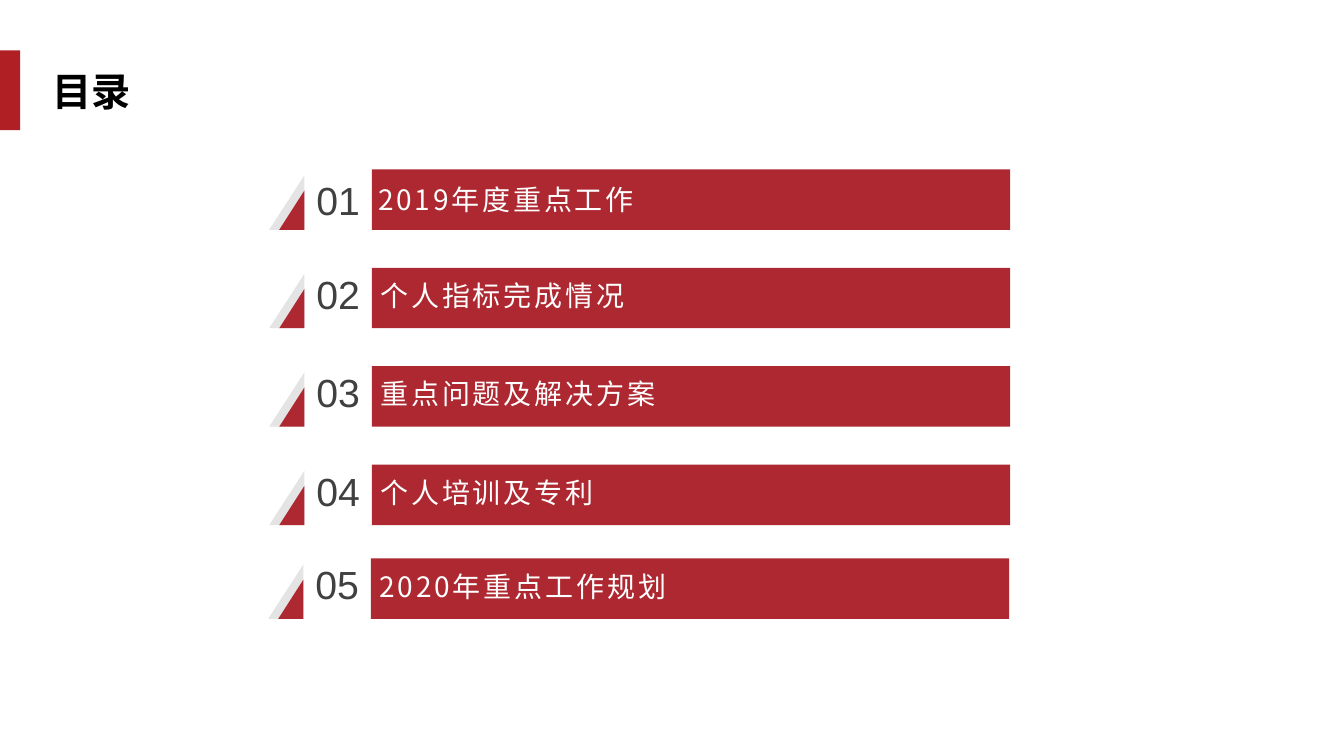
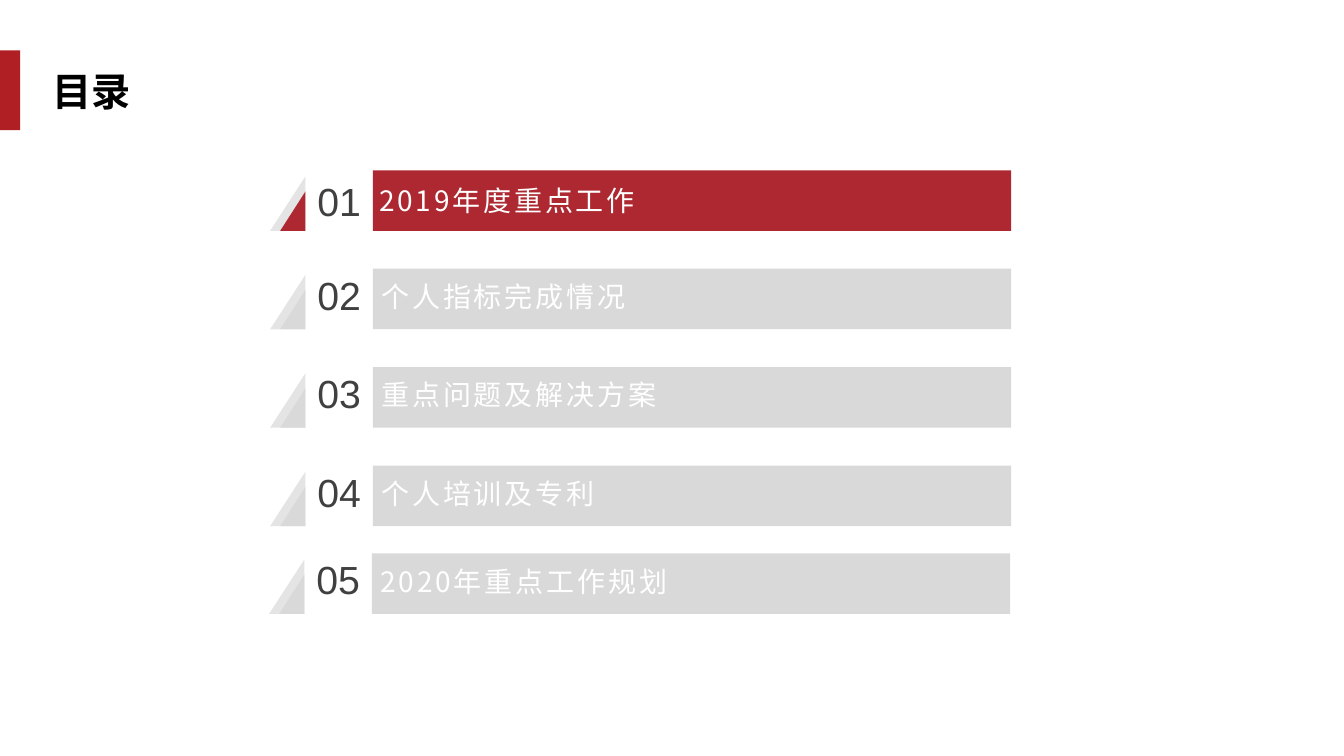
from pptx import Presentation, util as u
from pptx.dml.color import RGBColor
from pptx.enum import shapes, text

# Grid: one column and one row are each a tenth of an inch
CELL = u.Inches(0.1)
COLUMNS, ROWS = 133.33, 75

CJK, LATIN = "Noto Sans CJK SC", "Arial"
BAND, RED, GREY, PALE = "B01F24", "AD2830", "D9D9D9", "E4E4E4"
WHITE, BLACK, DARK = "FFFFFF", "000000", "404040"

ENTRIES = ["2019年度重点工作", "个人指标完成情况", "重点问题及解决方案",
           "个人培训及专利", "2020年重点工作规划"]
ROW_HEIGHT = 6
ROW_PITCH = 29.3 / 3


def grid(*cells):
    return [u.Emu(round(cell * CELL)) for cell in cells]


def color(hex_string):
    return RGBColor.from_string(hex_string)


class Deck:
    def __init__(self):
        self.prs = Presentation()
        self.prs.slide_width, self.prs.slide_height = grid(COLUMNS, ROWS)
        self.layout = self.prs.slide_layouts[5]
        self.slide = None
        self.has_band = False

    def new_slide(self, title):
        self.slide = self.prs.slides.add_slide(self.layout)
        if not self.has_band:
            self.band()
        self.title(title)

    def band(self):
        """Draw the red edge band and move it to the layout all slides share."""
        band = self.slide.shapes.add_shape(shapes.MSO_SHAPE.RECTANGLE, *grid(0, 5, 2, 7.9))
        self.paint(band, BAND)
        band.element.nvSpPr.cNvPr.id = 100
        self.layout.shapes.element.insert(2, band.element)
        self.has_band = True

    def title(self, words):
        title = self.slide.shapes.title
        title.left, title.top, title.width, title.height = grid(4.2, 6.2, 9.9, 5.7)
        frame = title.text_frame
        frame.word_wrap = False
        frame.auto_size = text.MSO_AUTO_SIZE.SHAPE_TO_FIT_TEXT
        frame.vertical_anchor = text.MSO_ANCHOR.TOP
        self.add_words(frame, words, 28, CJK, BLACK, bold=True)

    def paint(self, shape, fill):
        shape.shadow.inherit = False
        shape.fill.solid()
        shape.fill.fore_color.rgb = color(fill)
        shape.line.fill.background()

    def outline(self, contours, fill):
        """One filled outline made of one or more closed contours."""
        contours = [[grid(*point) for point in contour] for contour in contours]
        builder = self.slide.shapes.build_freeform(*contours[0][0])
        for number, (start, *others) in enumerate(contours):
            if number:
                builder.move_to(*start)
            builder.add_line_segments(others, close=True)
        shape = builder.convert_to_shape()
        self.paint(shape, fill)
        return shape

    def add_words(self, frame, words, size, font, ink, bold=False,
                  align=text.PP_ALIGN.LEFT, tracking=None):
        paragraph = frame.paragraphs[0]
        paragraph.alignment = align
        run = paragraph.add_run()
        run.text = words
        run.font.size, run.font.name, run.font.bold = u.Pt(size), font, bold
        run.font.color.rgb = color(ink)
        # East Asian typeface and letter spacing
        props = run._r.get_or_add_rPr()
        if font == CJK:
            east_asian = props.makeelement(
                "{http://schemas.openxmlformats.org/drawingml/2006/main}ea", {"typeface": font})
            props.append(east_asian)
        if tracking:
            props.set("spc", str(tracking * 100))
        return paragraph

    def inset(self, frame, left=0):
        frame.margin_left, = grid(left)
        frame.margin_right = frame.margin_top = frame.margin_bottom = 0
        frame.vertical_anchor = text.MSO_ANCHOR.MIDDLE

    def text_box(self, left, top, width, height):
        frame = self.slide.shapes.add_textbox(*grid(left, top, width, height)).text_frame
        frame.word_wrap = True
        return frame

    def entry(self, number, words, left, top, fill):
        """One row: pale wedge, coloured wedge with bar, number and heading."""
        bottom, wedge_right = top + ROW_HEIGHT, left + 3.5
        bar_left, bar_right = left + 10.2, left + 73.5
        self.outline([[(wedge_right, top + 0.6), (wedge_right, bottom), (left, bottom)]], PALE)
        bar = self.outline([
            [(wedge_right, top + 2.1), (wedge_right, bottom), (left + 1, bottom)],
            [(bar_left, top), (bar_right, top), (bar_right, bottom), (bar_left, bottom)],
        ], fill)

        # The first row is centred; later numbers sit slightly higher
        lift = 0 if number == 1 else 0.45
        label = self.text_box(wedge_right, top - lift, 6.7, ROW_HEIGHT)
        self.inset(label)
        self.add_words(label, f"{number:02}", 28, LATIN, DARK, align=text.PP_ALIGN.CENTER)

        # The first heading is held by its bar, the others by a box over it
        if number == 1:
            heading = bar.text_frame
            self.inset(heading, 9.8)
        else:
            heading = self.text_box(left + 10.05, top + 0.95, 63.3, 3.9)
        paragraph = self.add_words(heading, words, 20, CJK, WHITE, tracking=2)
        if number > 1:
            paragraph.line_spacing = 0.9
            paragraph.space_before = u.Pt(10)

    def contents(self, left, top, last_top, active):
        self.new_slide("目录")
        for index, words in enumerate(ENTRIES):
            number = index + 1
            is_last = number == len(ENTRIES)
            self.entry(number, words,
                       left - 0.1 if is_last else left,
                       last_top if is_last else top + index * ROW_PITCH,
                       RED if number in active else GREY)


def main():
    deck = Deck()
    # Full contents
    deck.contents(26.7, 16.8, 55.4, active={1, 2, 3, 4, 5})
    # Contents with the first section highlighted
    deck.contents(26.8, 16.9, 54.9, active={1})
    deck.prs.save("out.pptx")


if __name__ == "__main__":
    main()
